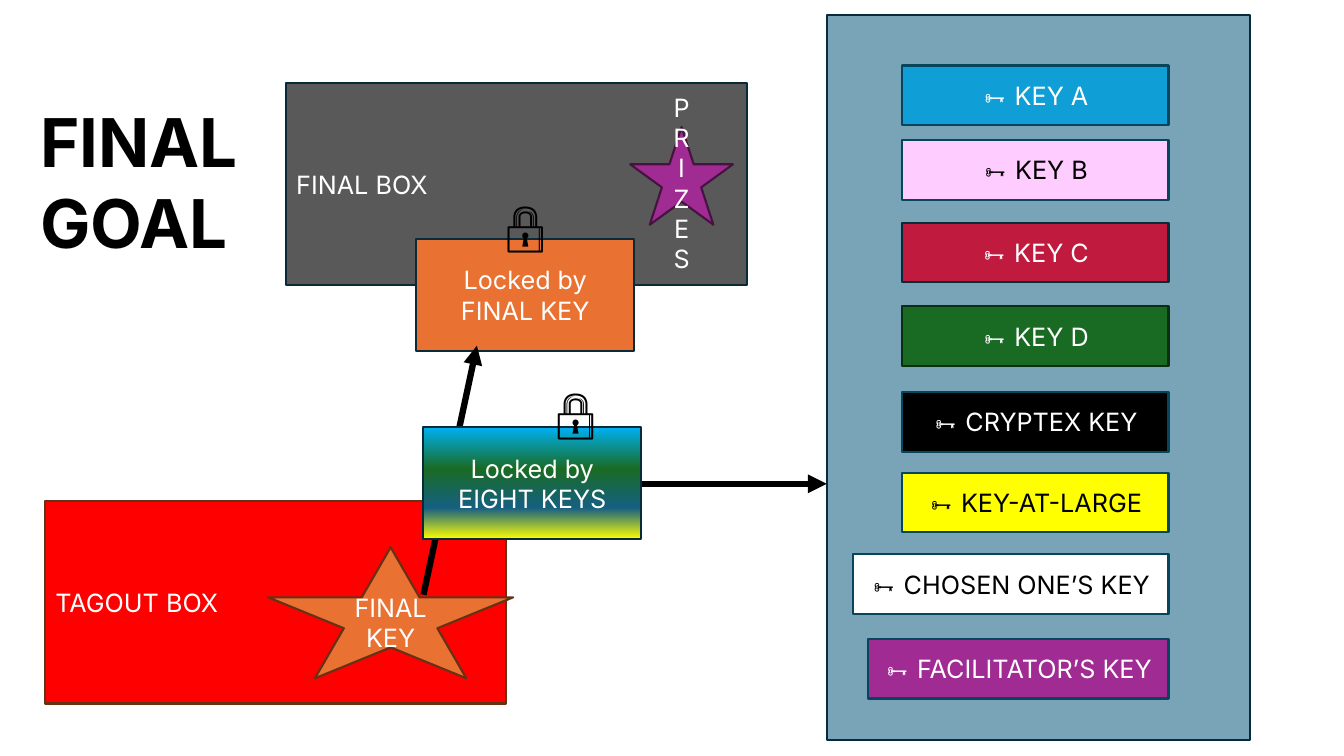
from dataclasses import dataclass

import pptx
import pptx.dml.color
import pptx.enum.dml
import pptx.enum.shapes
import pptx.enum.text
import pptx.oxml
import pptx.oxml.ns
import pptx.util
from pptx.util import Inches

COLORS = {
    "white": "FFFFFF", "black": "000000", "navy": "092A39", "teal": "156082",
    "grey": "595959", "red": "FF0000", "brown": "663216", "purple": "A02B93",
    "plum": "461340", "orange": "E97132", "blue": "0F9ED5", "sea": "07455D",
    "green": "196B24", "forest": "0B2F10", "crimson": "C01A3E",
    "pink": "FFCCFF", "yellow": "FFFF00", "sky": "00B0F0",
}
FONT = "Inter"
RECT = pptx.enum.shapes.MSO_SHAPE.RECTANGLE
STAR = pptx.enum.shapes.MSO_SHAPE.STAR_5_POINT
LEFT = pptx.enum.text.PP_ALIGN.LEFT
CENTER = pptx.enum.text.PP_ALIGN.CENTER
KEY_RIGHT, KEY_HEIGHT = 11.59, 0.59
LOCK_WIDTH, LOCK_HEIGHT = 1.12, 0.71


@dataclass
class Block:
    left: float
    top: float
    width: float
    height: float
    fill: str
    line: str
    text: str = ""
    form: pptx.enum.shapes.MSO_SHAPE = RECT
    align: pptx.enum.text.PP_ALIGN = CENTER
    ink: str = "white"


@dataclass
class Key:
    label: str
    top: float
    fill: str
    line: str = "sea"
    ink: str = "white"
    width: float = 2.64


@dataclass
class Label:
    text: str
    left: float
    top: float
    width: float
    height: float
    size: int
    align: pptx.enum.text.PP_ALIGN = CENTER
    bold: bool = False


def rgb(name: str) -> pptx.dml.color.RGBColor:
    return pptx.dml.color.RGBColor.from_string(COLORS[name])


def write(frame, text: str, size: int, ink: str, align, bold: bool = False) -> None:
    frame.word_wrap = True
    paragraph = frame.paragraphs[0]
    paragraph.alignment = align
    run = paragraph.add_run()
    run.text = text
    run.font.name = FONT
    run.font.size = pptx.util.Pt(size)
    run.font.bold = bold
    run.font.color.rgb = rgb(ink)


def draw_block(slide, block: Block):
    shape = slide.shapes.add_shape(
        block.form, Inches(block.left), Inches(block.top),
        Inches(block.width), Inches(block.height))
    shape.shadow.inherit = False
    shape.fill.solid()
    shape.fill.fore_color.rgb = rgb(block.fill)
    shape.line.color.rgb = rgb(block.line)
    shape.line.width = pptx.util.Pt(1.5)
    if block.text:
        shape.text_frame.vertical_anchor = pptx.enum.text.MSO_ANCHOR.MIDDLE
        write(shape.text_frame, block.text, 18, block.ink, block.align)
    return shape


def draw_key(slide, key: Key) -> None:
    draw_block(slide, Block(KEY_RIGHT - key.width, key.top, key.width, KEY_HEIGHT,
                            key.fill, key.line, f"🗝️ {key.label}", ink=key.ink))


def draw_label(slide, label: Label) -> None:
    box = slide.shapes.add_textbox(Inches(label.left), Inches(label.top),
                                   Inches(label.width), Inches(label.height))
    write(box.text_frame, label.text, label.size, "black", label.align, label.bold)
    box.text_frame.auto_size = pptx.enum.text.MSO_AUTO_SIZE.SHAPE_TO_FIT_TEXT


def draw_lock(slide, left: float, top: float) -> None:
    draw_label(slide, Label("🔒", left, top, LOCK_WIDTH, LOCK_HEIGHT, 36))


def draw_arrow(slide, x1: float, y1: float, x2: float, y2: float) -> None:
    arrow = slide.shapes.add_connector(
        pptx.enum.shapes.MSO_CONNECTOR.STRAIGHT,
        Inches(x1), Inches(y1), Inches(x2), Inches(y2))
    arrow.line.color.rgb = rgb("black")
    arrow.line.width = pptx.util.Pt(4.5)
    properties = arrow._element.spPr
    add_child(arrow.line._get_or_add_ln(), "a:tailEnd", type="triangle")
    add_child(properties, "a:effectLst")


def add_child(parent, tag: str, **attributes: str):
    child = parent.makeelement(pptx.oxml.ns.qn(tag), attributes)
    parent.append(child)
    return child


def set_opacity(shape, percent: int) -> None:
    color = shape._element.spPr.find(".//" + pptx.oxml.ns.qn("a:srgbClr"))
    add_child(color, "a:alpha", val=str(percent * 1000))


def set_gradient(shape, stops: list[tuple[int, str]]) -> None:
    shape.fill.gradient()
    shape.fill.gradient_angle = 270
    stop_list = shape._element.spPr.find(".//" + pptx.oxml.ns.qn("a:gsLst"))
    for stop in list(stop_list):
        stop_list.remove(stop)
    for position, name in stops:
        stop = add_child(stop_list, "a:gs", pos=str(position * 1000))
        add_child(stop, "a:srgbClr", val=COLORS[name])


KEYS = [
    Key("KEY A", 0.65, "blue"),
    Key("KEY B", 1.39, "pink", ink="black"),
    Key("KEY C", 2.21, "crimson", line="navy"),
    Key("KEY D", 3.04, "green", line="forest"),
    Key("CRYPTEX KEY", 3.89, "black"),
    Key("KEY-AT-LARGE", 4.69, "yellow", ink="black"),
    Key("CHOSEN ONE’S KEY", 5.5, "white", ink="black", width=3.13),
    Key("FACILITATOR’S KEY", 6.34, "purple", width=2.98),
]
BOXES = [
    Block(2.84, 0.82, 4.57, 2.01, "grey", "navy", "FINAL BOX", align=LEFT),
    Block(0.45, 4.97, 4.57, 2.01, "red", "brown", "TAGOUT BOX", align=LEFT),
    Block(6.25, 1.26, 1.02, 0.97, "purple", "plum", "PRIZES", form=STAR),
    Block(4.13, 2.37, 2.16, 1.11, "orange", "navy", "Locked by FINAL KEY"),
]
KEY_PANEL = Block(8.2, 0.15, 4.2, 7.19, "teal", "navy")
FINAL_KEY = Block(2.66, 5.43, 2.43, 1.3, "orange", "brown", "FINAL KEY", form=STAR)
EIGHT_KEYS = Block(4.2, 4.24, 2.16, 1.11, "teal", "navy", "Locked by EIGHT KEYS")
EIGHT_KEYS_STOPS = [(0, "sky"), (37, "green"), (72, "teal"), (100, "yellow")]
TITLE = Label("FINAL GOAL", 0.3, 0.95, 2.23, 1.72, 48, align=LEFT, bold=True)


def main() -> None:
    deck = pptx.Presentation()
    deck.slide_width, deck.slide_height = Inches(13.33), Inches(7.5)
    slide = deck.slides.add_slide(deck.slide_layouts[6])

    # Key panel and the two boxes
    set_opacity(draw_block(slide, KEY_PANEL), 57)
    for box in BOXES:
        draw_block(slide, box)
    draw_lock(slide, 4.65, 1.88)

    # Final key opens the final box
    draw_arrow(slide, 4.2, 5.9, 4.73, 3.43)

    # Eight keys open the tagout box
    for key in KEYS:
        draw_key(slide, key)
    draw_arrow(slide, 6.36, 4.8, 8.2, 4.8)
    draw_block(slide, FINAL_KEY)
    set_gradient(draw_block(slide, EIGHT_KEYS), EIGHT_KEYS_STOPS)
    draw_lock(slide, 5.15, 3.73)

    # Title
    draw_label(slide, TITLE)
    deck.save("out.pptx")


if __name__ == "__main__":
    main()
